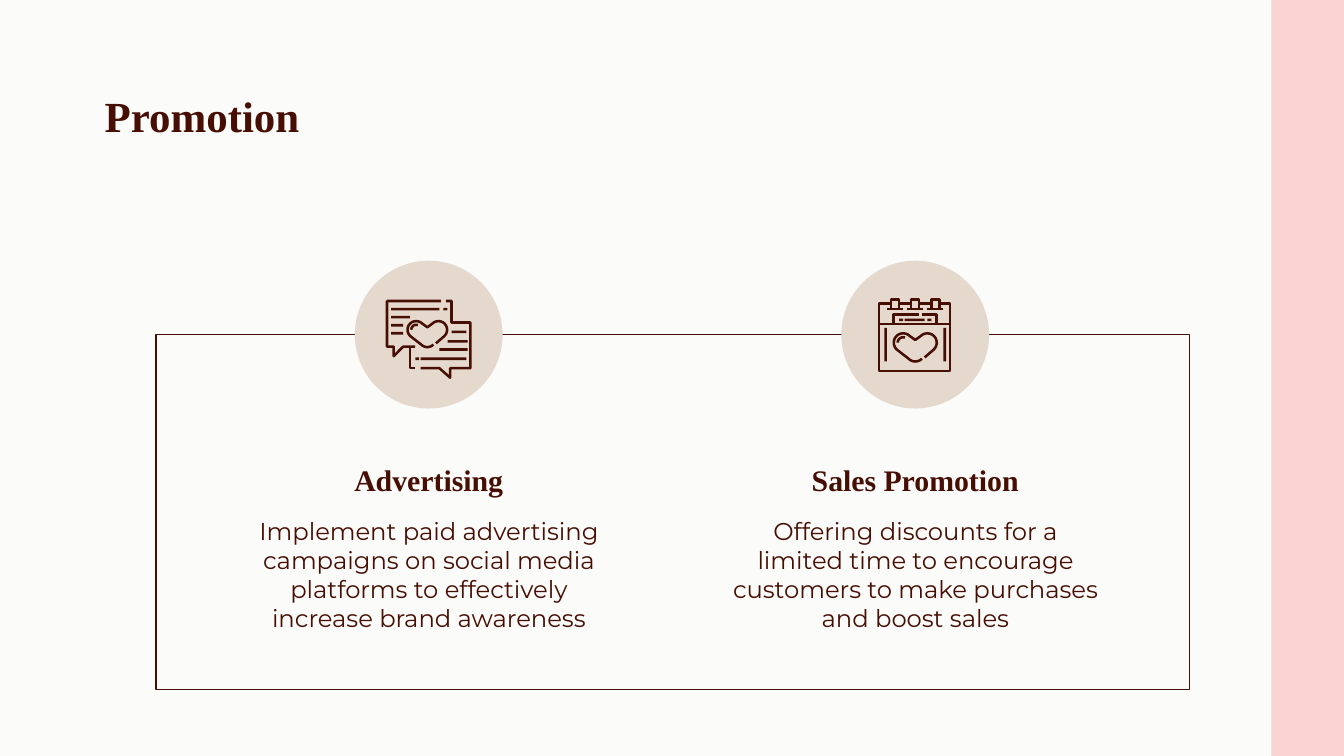
from math import cos, radians, sin

from pptx import Presentation
from pptx.dml.color import RGBColor
from pptx.enum import shapes, text
from pptx.util import Inches, Pt

BROWN, PINK, SAND, PAPER = "470F03", "FAD2D2", "E5D9CD", "FBFBFA"
SERIF, SANS = "Times New Roman", "Montserrat"
SLIDE_WIDTH = 10
SLIDE_HEIGHT = SLIDE_WIDTH * 9 / 16
STROKE = 1.35  # icon line width, points
BAR = 0.02     # icon bar thickness, inches

# Content: heading, description, column centre, icon
columns = [
    ("Advertising",
     "Implement paid advertising campaigns on social media platforms "
     "to effectively increase brand awareness", 3.19, "chat"),
    ("Sales Promotion",
     "Offering discounts for a limited time to encourage customers "
     "to make purchases and boost sales", 6.81, "calendar"),
]

# Icons: outlines (each a list of strokes), bars (left, top, width, height),
# heart (centre, top, scale)
rings = [6.63 + 0.15 * i for i in range(3)]
icons = {
    "chat": {
        "outlines": [
            [[(3.32, 2.24), (3.36, 2.24), (3.36, 2.4), (3.5, 2.4), (3.5, 2.74),
              (3.35, 2.74), (3.35, 2.81), (3.27, 2.74), (3.13, 2.74)]],
            [[(3.28, 2.24), (2.88, 2.24), (2.88, 2.58), (2.93, 2.58),
              (2.93, 2.65), (3, 2.58), (3.09, 2.58)],
             [(3.05, 2.58), (3.05, 2.74), (3.09, 2.74)]],
        ],
        "bars": [(left, top, width, BAR) for left, top, width in [
            (2.91, 2.29, 0.36), (3.3, 2.29, 0.03), (2.91, 2.35, 0.14),
            (2.91, 2.41, 0.09), (2.91, 2.47, 0.09), (3.36, 2.46, 0.11),
            (3.33, 2.53, 0.15), (3.27, 2.59, 0.21), (3.13, 2.66, 0.34),
            (3.09, 2.66, 0.03)]],
        "heart": (3.18, 2.38, 0.92),
    },
    "calendar": {
        "outlines": [[
            [(6.63, 2.26), (6.54, 2.26), (6.54, 2.76), (7.07, 2.76),
             (7.07, 2.26), (6.99, 2.26)],
            [(6.54, 2.41), (7.07, 2.41)],
            [(6.65, 2.41), (6.65, 2.34), (6.84, 2.34)],
            [(6.86, 2.34), (6.97, 2.34), (6.97, 2.41)],
            [(6.69, 2.26), (6.78, 2.26)],
            [(6.84, 2.26), (6.93, 2.26)],
        ] + [[(x, 2.3), (x, 2.23), (x + 0.06, 2.23), (x + 0.06, 2.3)] for x in rings]
          + [[(x - 0.03, 2.3), (x + 0.09, 2.3)] for x in rings]],
        "bars": [(6.69, 2.37, 0.03, BAR), (6.73, 2.37, 0.15, BAR),
                 (6.9, 2.37, 0.03, BAR), (6.58, 2.44, BAR, 0.25),
                 (7.02, 2.44, BAR, 0.25)],
        "heart": (6.81, 2.47, 1),
    },
}


def rgb(color):
    return RGBColor.from_string(color)


def paint(shape, fill=None, line=None, width=0.75):
    shape.shadow.inherit = False
    if fill:
        shape.fill.solid()
        shape.fill.fore_color.rgb = rgb(fill)
    else:
        shape.fill.background()
    if line:
        shape.line.color.rgb = rgb(line)
        shape.line.width = Pt(width)
    else:
        shape.line.fill.background()


def block(parent, kind, box, fill=None, line=None):
    paint(parent.add_shape(kind, *map(Inches, box)), fill, line)


def write(wording, box, font, size, bold=False, align="LEFT", anchor="TOP"):
    frame = slide.shapes.add_textbox(*map(Inches, box)).text_frame
    frame.word_wrap = True
    frame.vertical_anchor = text.MSO_ANCHOR[anchor]
    frame.margin_left = frame.margin_right = Inches(0.1)
    frame.margin_top = frame.margin_bottom = Inches(0.1)
    frame.text = wording
    paragraph = frame.paragraphs[0]
    paragraph.alignment = text.PP_ALIGN[align]
    style = paragraph.runs[0].font
    style.name, style.size, style.bold = font, Pt(size), bold
    style.color.rgb = rgb(BROWN)


def draw_outline(parent, strokes):
    first, *others = [[(Inches(x), Inches(y)) for x, y in points] for points in strokes]
    builder = parent.build_freeform(*first[0])
    builder.add_line_segments(first[1:], close=False)
    for corners in others:
        builder.move_to(*corners[0])
        builder.add_line_segments(corners[1:], close=False)
    paint(builder.convert_to_shape(), line=BROWN, width=STROKE)


def arc(x, y, radius, start, end):
    angles = [radians(start + (end - start) * i / 12) for i in range(13)]
    return [(x + radius * cos(a), y + radius * sin(a)) for a in angles]


def draw_icon(icon):
    group = slide.shapes.add_group_shape().shapes
    center, top, scale = icon["heart"]
    heart = (arc(0, 0.15, 0.07, 45, 135) + arc(-0.09, 0.08, 0.07, 135, 315)
             + [(0, 0.06)] + arc(0.09, 0.08, 0.07, 225, 405) + [(0.07, 0.19)])
    shine = arc(-0.09, 0.08, 0.04, 180, 290)
    curves = [[[(center + x * scale, top + y * scale) for x, y in curve]]
              for curve in (heart, shine)]
    for strokes in icon["outlines"] + curves:
        draw_outline(group, strokes)
    for bar in icon["bars"]:
        block(group, shapes.MSO_SHAPE.RECTANGLE, bar, BROWN)


deck = Presentation()
deck.slide_width, deck.slide_height = Inches(SLIDE_WIDTH), Inches(SLIDE_HEIGHT)
slide = deck.slides.add_slide(deck.slide_layouts[6])
slide.background.fill.solid()
slide.background.fill.fore_color.rgb = rgb(PAPER)

# Side band, frame and title
block(slide.shapes, shapes.MSO_SHAPE.RECTANGLE, (9.46, 0, 0.54, SLIDE_HEIGHT), PINK)
block(slide.shapes, shapes.MSO_SHAPE.RECTANGLE, (1.16, 2.49, 7.69, 2.64), line=BROWN)
write("Promotion", (0.68, 0.57, 8.88, 0.63), SERIF, 23, bold=True)

# Columns, each centred on its own axis
for heading, description, center, icon in columns:
    write(description, (center - 2.95 / 2, 3.74, 2.95, 1.17), SANS, 13, align="CENTER")
    write(heading, (center - 2.44 / 2, 3.32, 2.44, 0.48), SERIF, 16, bold=True,
          align="CENTER", anchor="BOTTOM")
    block(slide.shapes, shapes.MSO_SHAPE.FLOWCHART_CONNECTOR,
          (center - 1.1 / 2, 1.94, 1.1, 1.1), SAND)
    draw_icon(icons[icon])

deck.save("out.pptx")
